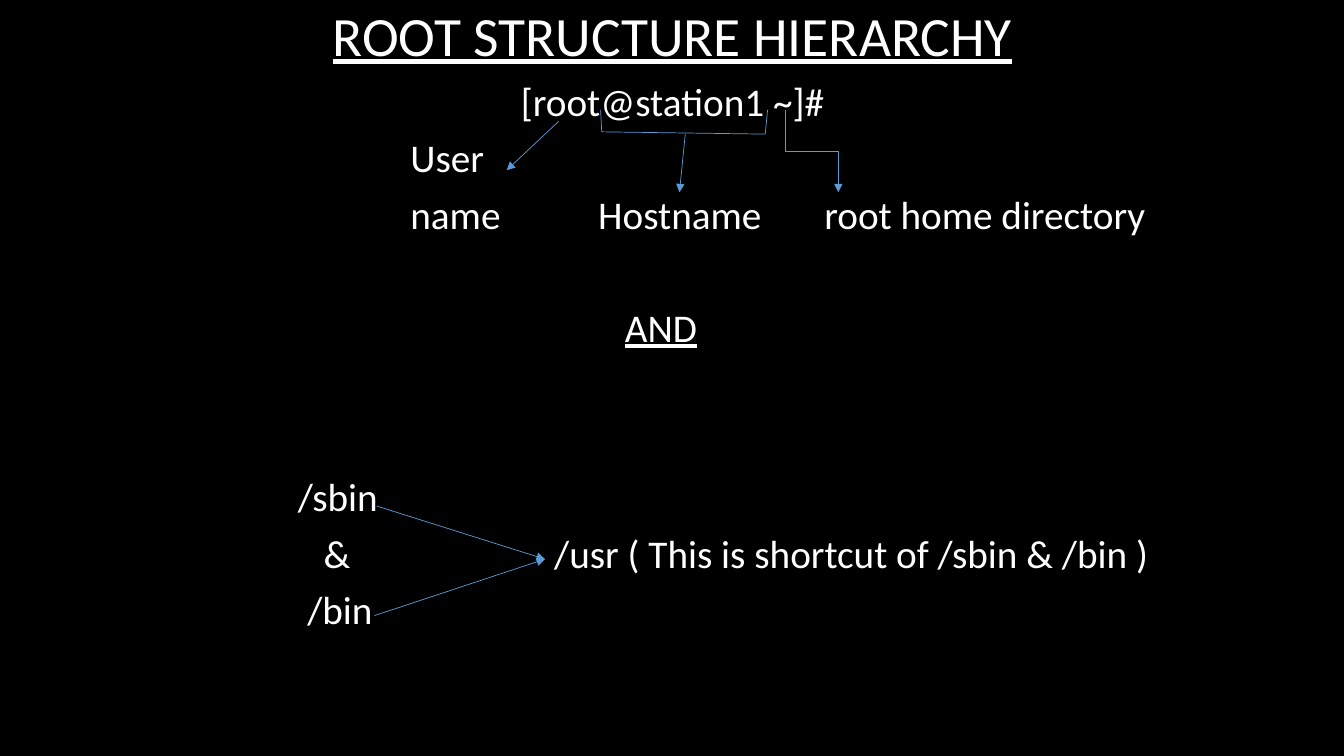
from dataclasses import dataclass

from lxml import etree
from pptx import Presentation
from pptx.dml.color import RGBColor
from pptx.enum.shapes import MSO_CONNECTOR
from pptx.enum.text import MSO_ANCHOR, PP_ALIGN
from pptx.oxml.ns import qn
from pptx.util import Inches, Pt

STRAIGHT, ELBOW = MSO_CONNECTOR.STRAIGHT, MSO_CONNECTOR.ELBOW
LEFT, CENTER = PP_ALIGN.LEFT, PP_ALIGN.CENTER
MIDDLE = MSO_ANCHOR.MIDDLE


@dataclass(frozen=True)
class Theme:
    font: str = "Calibri"
    title_size: float = 39.6
    body_size: float = 28
    line_width: float = 0.5
    background: RGBColor = RGBColor(0, 0, 0)
    text: RGBColor = RGBColor(255, 255, 255)
    line: RGBColor = RGBColor(0x5B, 0x9B, 0xD5)


@dataclass(frozen=True)
class Box:
    left: float
    top: float
    col: float = 0.115
    row: float = 0.56

    def point(self, col, row):
        return self.left + col * self.col, self.top + row * self.row


THEME = Theme()


def add_text(s, box, text, col, row, cols, rows=1, size=THEME.body_size,
             align=LEFT, underline=False, spacing=1.0):
    x, y = box.point(col, row)
    sp = s.shapes.add_textbox(Inches(x), Inches(y),
                              Inches(cols * box.col), Inches(rows * box.row))
    tf = sp.text_frame
    tf.word_wrap = True
    tf.vertical_anchor = MIDDLE
    tf.margin_left = tf.margin_right = tf.margin_top = tf.margin_bottom = 0
    p = tf.paragraphs[0]
    p.alignment = align
    p.line_spacing = spacing
    r = p.add_run()
    r.text = text
    r.font.name = THEME.font
    r.font.size = Pt(size)
    r.font.color.rgb = THEME.text
    r.font.underline = underline


def add_line(s, start, end, arrow=False, kind=STRAIGHT):
    cxn = s.shapes.add_connector(kind, *map(Inches, start + end))
    cxn.line.color.rgb = THEME.line
    cxn.line.width = Pt(THEME.line_width)
    if arrow:
        ln = cxn.line._get_or_add_ln()
        etree.SubElement(ln, qn("a:tailEnd"), type="triangle")
    etree.SubElement(cxn._element.spPr, qn("a:effectLst"))
    return cxn


def add_down_elbow(s, start, end):
    (x1, y1), (x2, y2) = start, end
    cx, cy = (x1 + x2) / 2, (y1 + y2) / 2
    half_w, half_h = (x2 - x1) / 2, (y2 - y1) / 2
    cxn = add_line(s, (cx + half_h, cy - half_w), (cx - half_h, cy + half_w),
                   arrow=True, kind=ELBOW)
    cxn._element.spPr.find(qn("a:xfrm")).set("rot", str(270 * 60000))


def title_region(s, box):
    add_text(s, box, "ROOT STRUCTURE HIERARCHY", 0, 0, 100,
             size=THEME.title_size, align=CENTER, underline=True, spacing=0.9)


def prompt_region(s, box):
    add_text(s, box, "[root@station1 ~]#", 0, 0, 100, align=CENTER)
    for text, col, row, cols in (
        ("User", 27.4, 1, 12),
        ("name", 27.4, 2, 12),
        ("Hostname", 43.6, 2, 18),
        ("root home directory", 63.1, 2, 34),
    ):
        add_text(s, box, text, col, row, cols)
    add_text(s, box, "AND", 45.9, 4, 10, underline=True)

    at = box.point
    add_line(s, at(40.2, 0.86), at(35.7, 1.73), arrow=True)
    add_down_elbow(s, at(59.7, 0.66), at(64.3, 2.12))
    bracket = [at(43.8, 0.66), at(43.9, 1.05), at(58, 1.09), at(58.2, 0.66)]
    for start, end in zip(bracket, bracket[1:]):
        add_line(s, start, end)
    add_line(s, at(51.1, 1.09), at(50.6, 2.12), arrow=True)


def shortcut_region(s, box):
    for text, col, row, cols in (
        ("/sbin", 17.7, 0, 10),
        ("&", 19.9, 1, 5),
        ("/bin", 18.5, 2, 10),
        ("/usr ( This is shortcut of /sbin & /bin )", 39.8, 1, 60),
    ):
        add_text(s, box, text, col, row, cols)
    target = box.point(39, 1.62)
    for source in ((24.5, 0.68), (24.3, 2.62)):
        add_line(s, box.point(*source), target, arrow=True)


prs = Presentation()
prs.slide_width, prs.slide_height = Inches(13.33), Inches(7.5)
s = prs.slides.add_slide(prs.slide_layouts[6])
s.background.fill.solid()
s.background.fill.fore_color.rgb = THEME.background

title_region(s, Box(0.92, 0, row=0.76))
prompt_region(s, Box(0.92, 0.72))
shortcut_region(s, Box(0.92, 4.64))

prs.save("out.pptx")
